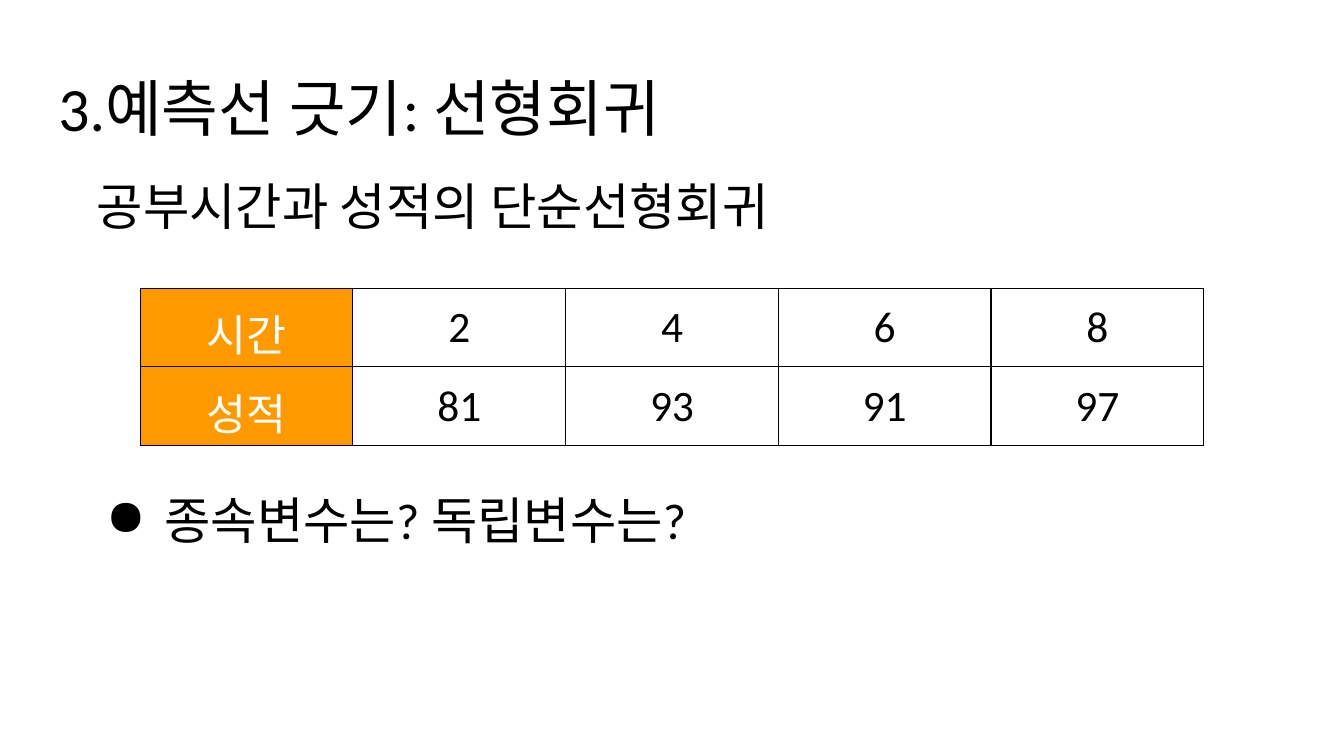
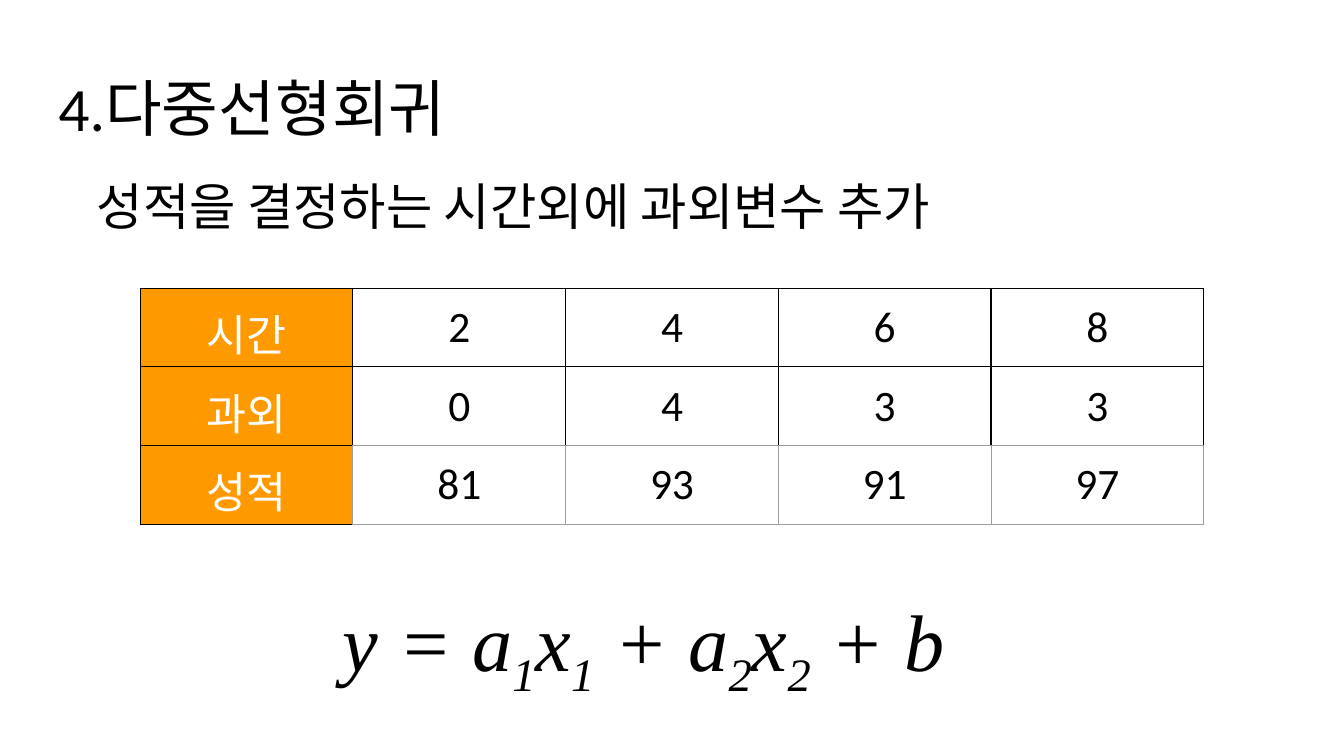
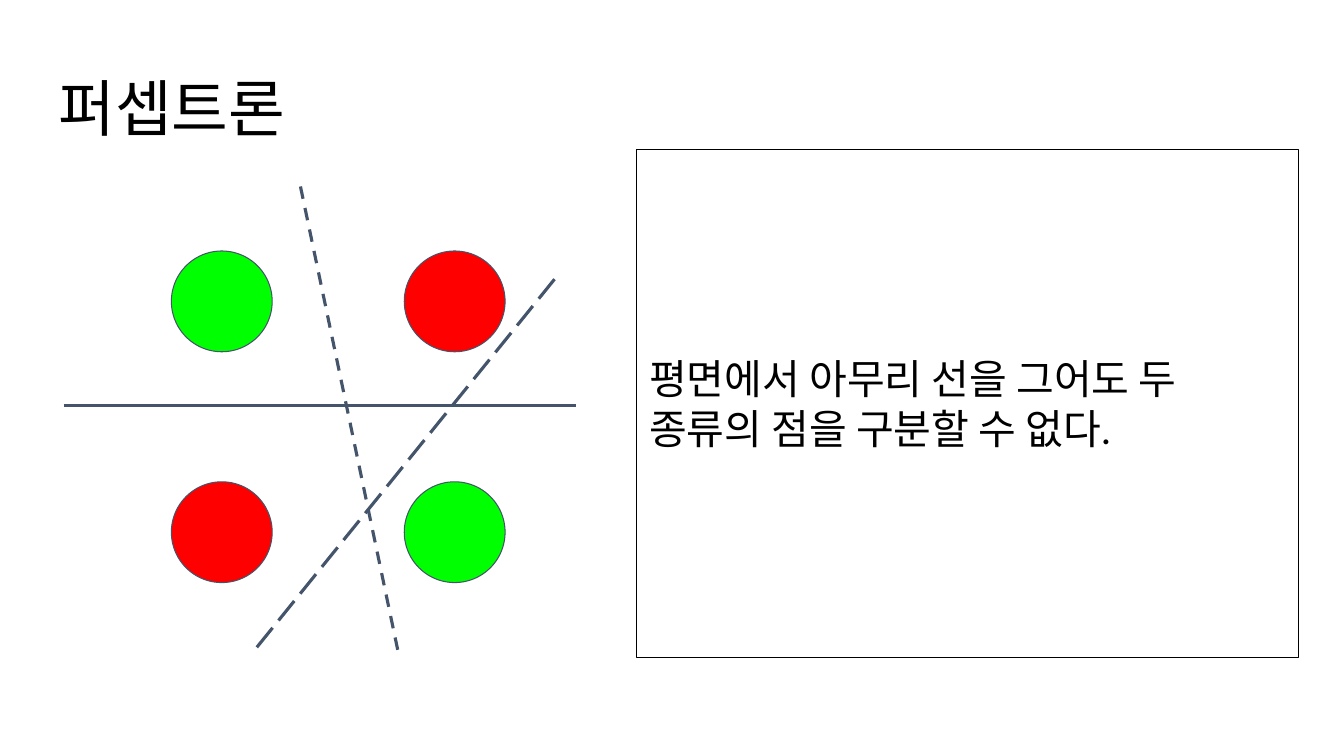
"""Build three slides on linear regression and the perceptron."""
from dataclasses import dataclass
from typing import Any, Optional

from lxml import etree
from pptx import Presentation
from pptx.dml.color import RGBColor
from pptx.enum.dml import MSO_LINE
from pptx.enum.shapes import MSO_CONNECTOR, MSO_SHAPE
from pptx.enum.text import MSO_ANCHOR, PP_ALIGN
from pptx.oxml.ns import qn
from pptx.util import Inches, Pt

STRAIGHT = MSO_CONNECTOR.STRAIGHT
DOT = MSO_SHAPE.FLOWCHART_CONNECTOR
RECT = MSO_SHAPE.RECTANGLE
DASH, LONG = MSO_LINE.DASH, MSO_LINE.LONG_DASH
TOP, MIDDLE = MSO_ANCHOR.TOP, MSO_ANCHOR.MIDDLE
LEFT, CENTER = PP_ALIGN.LEFT, PP_ALIGN.CENTER

COLORS = {
    "black": "000000",
    "white": "FFFFFF",
    "orange": "FF9900",
    "gray": "9E9E9E",
    "slate": "44546A",
    "green": "00FF00",
    "red": "FF0000",
}
SANS, SERIF = "Calibri", "Times New Roman"
PAD = 0.13
TITLE_BOX = (0.45, 0.65, 12.42, 0.84)
GRID_LEFT, GRID_TOP = 1.39, 2.86
COL_WIDTH, ROW_HEIGHT = 2.11, 0.78
DOT_SIZE = 1


@dataclass
class Style:
    """How a paragraph looks."""

    size: float
    color: str = "black"
    font: str = SANS
    italic: bool = False
    align: Any = LEFT
    space: Optional[float] = None
    bullet: str = ""


@dataclass
class Part:
    """A run of text with its baseline shift in percent."""

    text: str
    shift: int = 0


@dataclass
class Rule:
    """A straight line across the dots."""

    start: tuple[float, float]
    end: tuple[float, float]
    dash: Any = None


TITLE = Style(44, space=0.9)
BODY = Style(36, space=0.9)
POINT = Style(36, space=0.9, bullet="●")
LABEL = Style(31, "white", align=CENTER)
VALUE = Style(31, align=CENTER)
MATH = Style(57.3, font=SERIF, italic=True, align=CENTER)
NOTE = Style(29.3)

HOURS = ["시간", "2", "4", "6", "8"]
TUTOR = ["과외", "0", "4", "3", "3"]
SCORES = ["성적", "81", "93", "91", "97"]
SUM = [
    Part("y = a"), Part("1", -25), Part("x"), Part("1", -25),
    Part(" + a"), Part("2", -25), Part("x"), Part("2", -25), Part(" + b"),
]
RULES = [
    Rule((2.98, 1.85), (3.96, 6.52), DASH),
    Rule((0.63, 4.02), (5.71, 4.02)),
    Rule((5.5, 2.77), (2.5, 6.48), LONG),
]


def paint(name: str) -> RGBColor:
    """Return a named colour."""
    return RGBColor.from_string(COLORS[name])


def write(frame: Any, parts: list[Part], style: Style) -> None:
    """Fill a text frame with one styled paragraph."""
    para = frame.paragraphs[0]
    para.alignment = style.align
    if style.space:
        para.line_spacing = style.space
    if style.bullet:
        props = para._p.get_or_add_pPr()
        props.set("marL", str(Inches(0.67)))
        props.set("indent", str(Inches(-0.58)))
        etree.SubElement(props, qn("a:buChar")).set("char", style.bullet)
    for part in parts:
        run = para.add_run()
        run.text = part.text
        run.font.size = Pt(style.size)
        run.font.name = style.font
        run.font.color.rgb = paint(style.color)
        if style.italic:
            run.font.italic = True
        if part.shift:
            run._r.get_or_add_rPr().set("baseline", str(part.shift * 1000))


def inset(item: Any) -> None:
    """Give a frame or cell the shared margins."""
    item.margin_left = item.margin_right = Inches(PAD)
    item.margin_top = item.margin_bottom = Inches(PAD)


def set_frame(shape: Any, parts: list[Part], style: Style, anchor: Any = TOP) -> None:
    """Set up a shape's wrapped text."""
    frame = shape.text_frame
    frame.word_wrap = True
    frame.vertical_anchor = anchor
    inset(frame)
    write(frame, parts, style)


def add_text(slide: Any, box: tuple, parts: list[Part], style: Style) -> None:
    """Add a text box."""
    shape = slide.shapes.add_textbox(*map(Inches, box))
    set_frame(shape, parts, style)


def add_shape(slide: Any, kind: Any, box: tuple, fill: str, line: str) -> Any:
    """Add a thinly outlined shape, unfilled when fill is empty."""
    shape = slide.shapes.add_shape(kind, *map(Inches, box))
    shape.shadow.inherit = False
    if fill:
        shape.fill.solid()
        shape.fill.fore_color.rgb = paint(fill)
    else:
        shape.fill.background()
    shape.line.color.rgb = paint(line)
    shape.line.width = Pt(0.75)
    return shape


def add_rule(slide: Any, rule: Rule) -> None:
    """Add a dividing line."""
    ends = map(Inches, rule.start + rule.end)
    line = slide.shapes.add_connector(STRAIGHT, *ends)
    line.line.color.rgb = paint("slate")
    line.line.width = Pt(2.25)
    if rule.dash:
        line.line.dash_style = rule.dash
    etree.SubElement(line._element.spPr, qn("a:effectLst"))


def add_edge(cell: Any, side: str, color: str, width: float) -> None:
    """Draw one border of a cell."""
    edge = etree.SubElement(cell._tc.get_or_add_tcPr(), qn(f"a:ln{side}"))
    edge.set("w", str(Pt(width)))
    fill = etree.SubElement(edge, qn("a:solidFill"))
    etree.SubElement(fill, qn("a:srgbClr")).set("val", COLORS[color])


def add_grid(slide: Any, rows: list[list[str]], pale: Optional[int] = None) -> None:
    """Add a data table; values in the pale row get gray borders."""
    count = len(rows[0])
    box = (GRID_LEFT, GRID_TOP, COL_WIDTH * count, ROW_HEIGHT * len(rows))
    table = slide.shapes.add_table(len(rows), count, *map(Inches, box)).table
    table.first_row = table.horz_banding = False
    for r, row in enumerate(rows):
        table.rows[r].height = Inches(ROW_HEIGHT)
        for c, text in enumerate(row):
            cell = table.cell(r, c)
            inset(cell)
            write(cell.text_frame, [Part(text)], VALUE if c else LABEL)
            near = {"L": (r, c - 1), "R": (r, c + 1), "T": (r - 1, c), "B": (r + 1, c)}
            for side, (y, x) in near.items():
                gray = (r == pale and c > 0) or (y == pale and x > 0)
                add_edge(cell, side, *(("gray", 0.75) if gray else ("black", 1)))
            if c:
                cell.fill.background()
            else:
                cell.fill.solid()
                cell.fill.fore_color.rgb = paint("orange")


def add_slide(deck: Any, title: str) -> Any:
    """Add a blank slide with its title."""
    slide = deck.slides.add_slide(deck.slide_layouts[6])
    add_text(slide, TITLE_BOX, [Part(title)], TITLE)
    return slide


def add_simple(deck: Any) -> None:
    """Add the simple regression slide."""
    slide = add_slide(deck, "3.예측선 긋기: 선형회귀")
    add_text(slide, (0.83, 1.68, 12.05, 1.03), [Part("공부시간과 성적의 단순선형회귀")], BODY)
    add_grid(slide, [HOURS, SCORES])
    add_text(slide, (0.83, 4.79, 12.05, 1.03), [Part("종속변수는? 독립변수는?")], POINT)


def add_multi(deck: Any) -> None:
    """Add the multiple regression slide."""
    slide = add_slide(deck, "4.다중선형회귀")
    lead = "성적을 결정하는 시간외에 과외변수 추가"
    add_text(slide, (0.83, 1.68, 11.63, 1.03), [Part(lead)], BODY)
    add_grid(slide, [HOURS, TUTOR, SCORES], pale=2)
    add_text(slide, (0.83, 5.74, 11.11, 1.38), SUM, MATH)


def add_neuron(deck: Any) -> None:
    """Add the perceptron slide."""
    slide = add_slide(deck, "퍼셉트론")
    for c, left in enumerate((1.7, 4.01)):
        for r, top in enumerate((2.49, 4.78)):
            fill = "green" if r == c else "red"
            add_shape(slide, DOT, (left, top, DOT_SIZE, DOT_SIZE), fill, "slate")
    for rule in RULES:
        add_rule(slide, rule)
    panel = add_shape(slide, RECT, (6.31, 1.48, 6.57, 5.04), "", "black")
    note = "평면에서 아무리 선을 그어도 두 종류의 점을 구분할 수 없다."
    set_frame(panel, [Part(note)], NOTE, MIDDLE)


def main() -> None:
    """Build and save the deck."""
    deck = Presentation()
    deck.slide_width, deck.slide_height = Inches(13.33), Inches(7.5)
    add_simple(deck)
    add_multi(deck)
    add_neuron(deck)
    deck.save("out.pptx")


if __name__ == "__main__":
    main()
